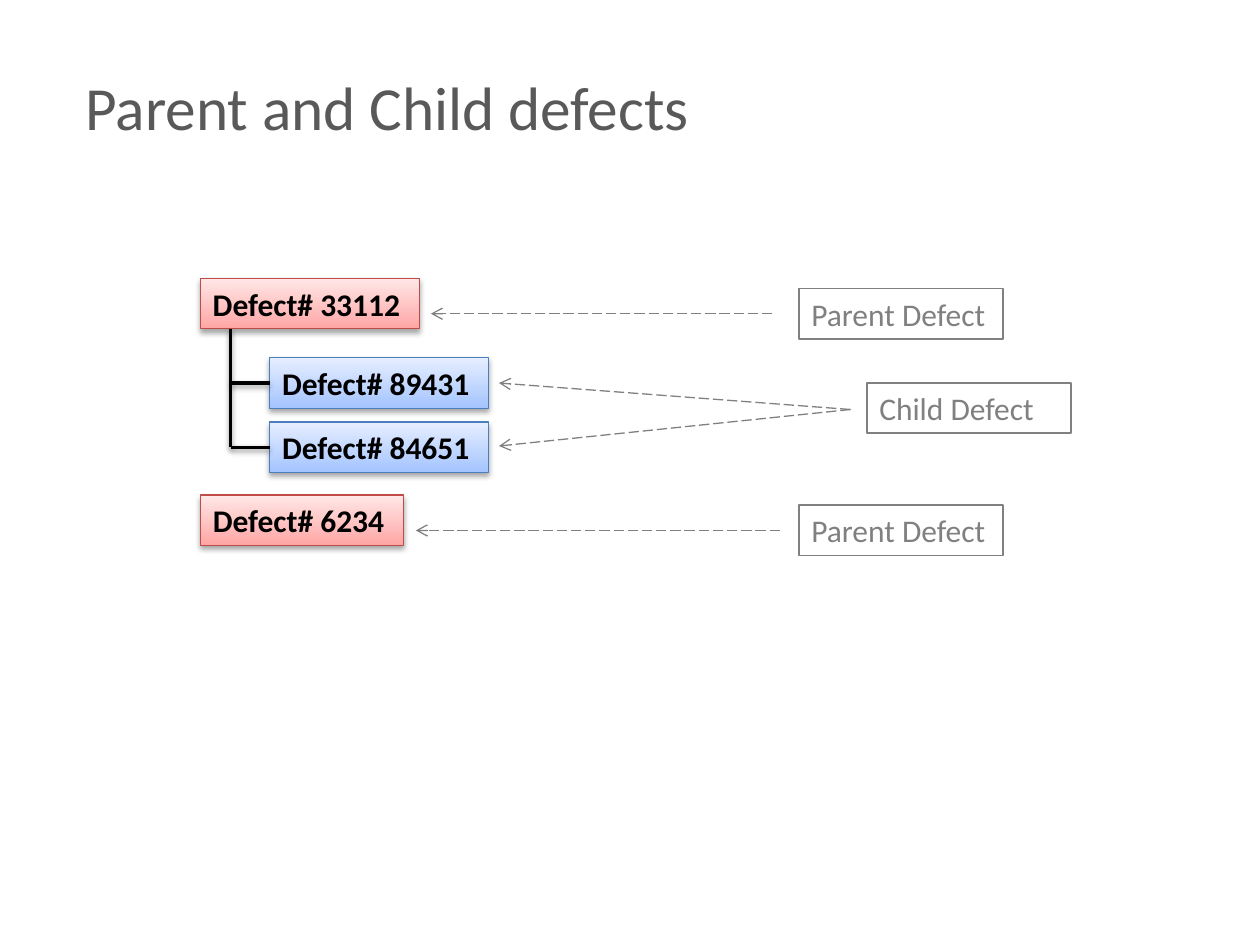
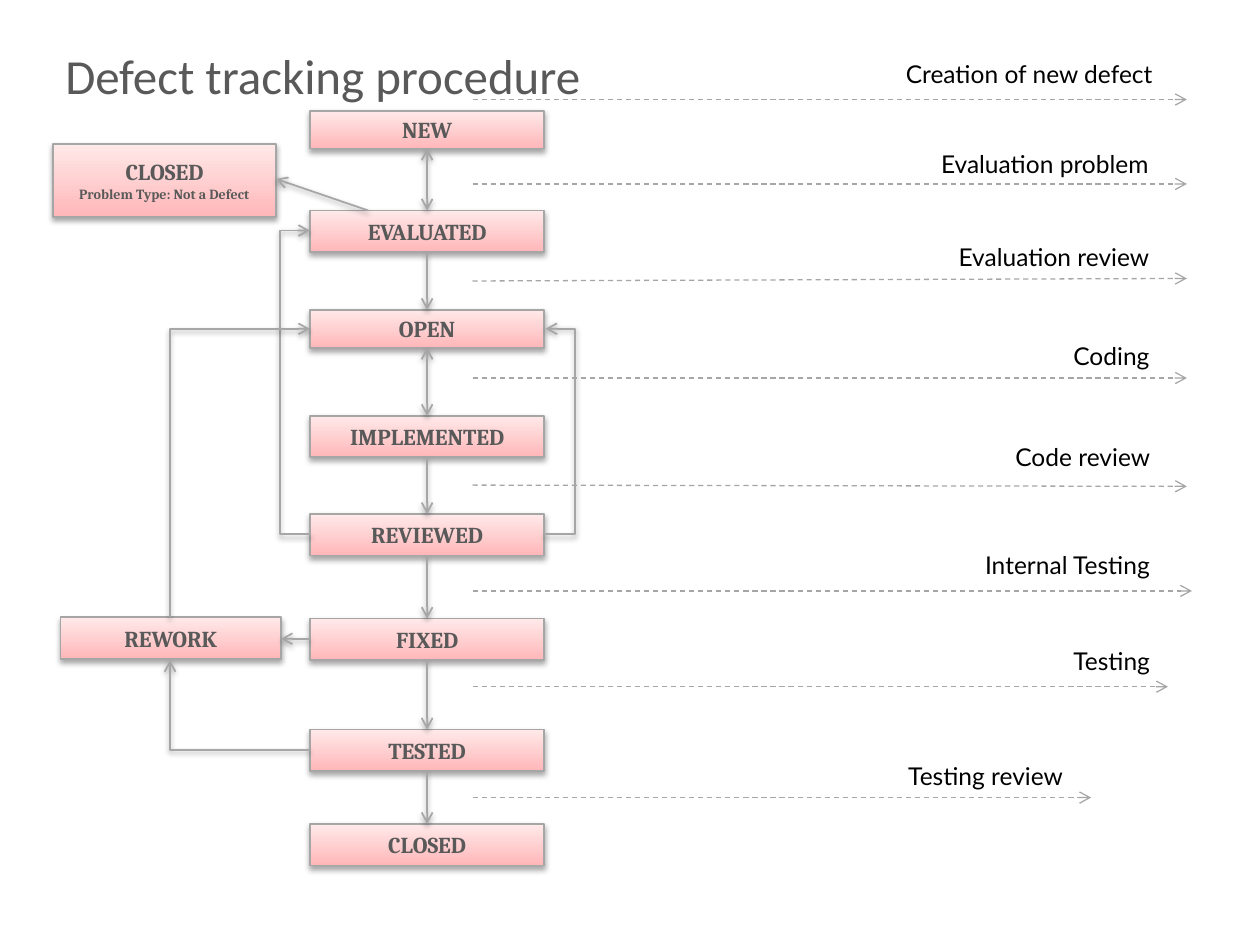
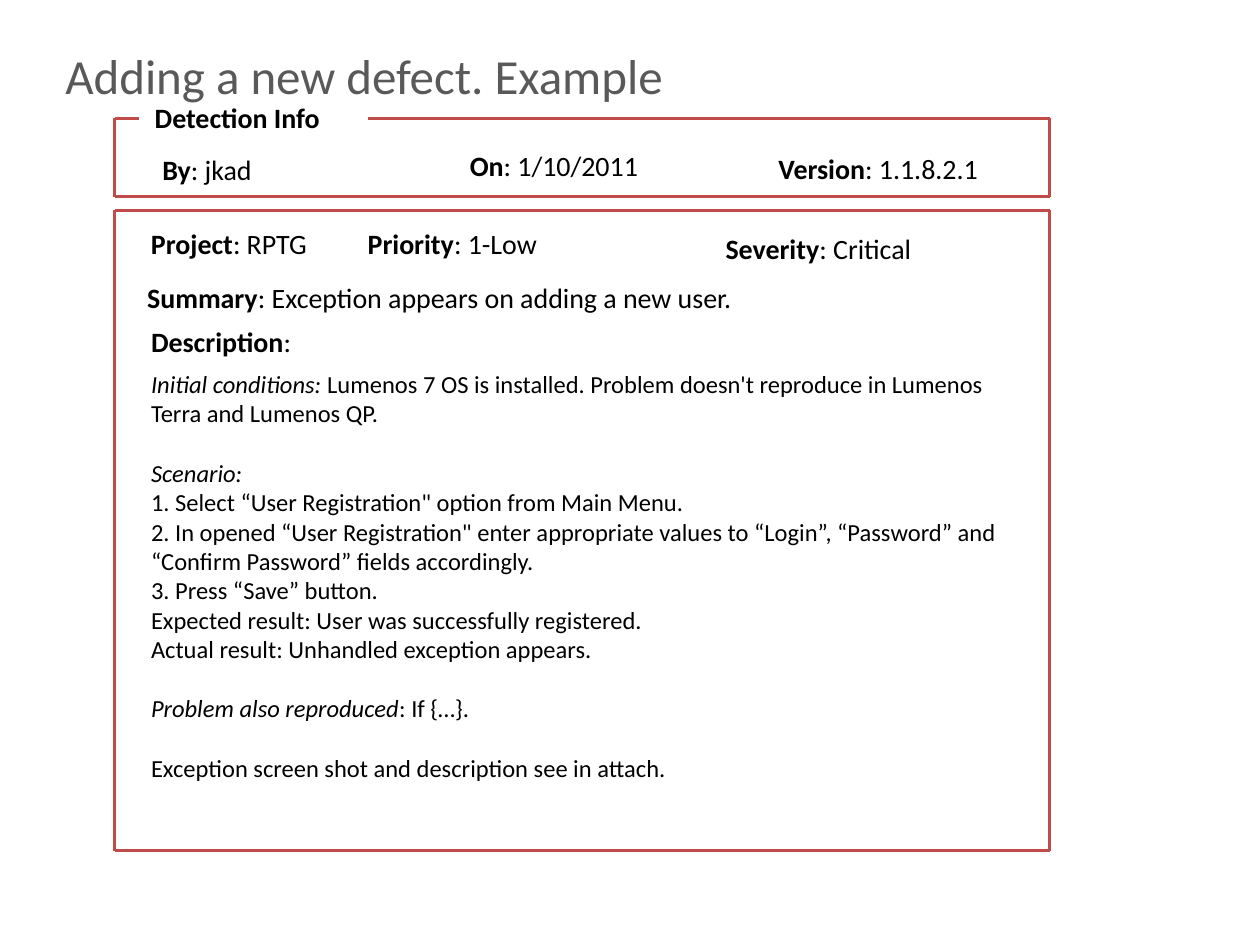
"""Build three slides on defect tracking: hierarchy, workflow and an example record."""
import dataclasses

import lxml.etree
import pptx
import pptx.dml.color
import pptx.enum.dml
import pptx.enum.shapes
import pptx.enum.text
import pptx.oxml.ns
import pptx.util

Inches, Pt = pptx.util.Inches, pptx.util.Pt
Rgb = pptx.dml.color.RGBColor.from_string
Dash = pptx.enum.dml.MSO_LINE
Align = pptx.enum.text.PP_ALIGN
Anchor = pptx.enum.text.MSO_ANCHOR
Link = pptx.enum.shapes.MSO_CONNECTOR
qn = pptx.oxml.ns.qn


@dataclasses.dataclass(frozen=True)
class Theme:
    ink: str = "000000"
    title: str = "595959"
    note: str = "808080"
    rule: str = "A6A6A6"
    red: str = "BF4C48"
    blue: str = "4B7EBC"
    rose: tuple = ("FFA6A5", "FFE7E7")
    sky: tuple = ("A4C4FF", "E6EEFF")
    pink: tuple = ("FFB7B9", "FFE9E9")
    white: tuple = ("FFFFFF",)
    font: str = "Calibri"
    serif: str = "Cambria"
    sans: str = "Lato"
    huge: float = 35
    large: float = 28
    box: float = 18
    field: float = 16
    body: float = 14
    step: float = 13
    small: float = 8


theme = Theme()


def put(slide, at, lines, size, color, font=theme.font, fill=None, edge=None, width=0.75, wrap=False):
    """Place text; each line is (style of lead, lead, rest), and a fill makes it a box."""
    spot = [Inches(v) for v in at]
    if fill:
        item = slide.shapes.add_shape(pptx.enum.shapes.MSO_SHAPE.RECTANGLE, *spot)
        item.line.color.rgb = Rgb(edge)
        item.line.width = Pt(width)
        if len(fill) == 1:
            item.fill.solid()
            item.fill.fore_color.rgb = Rgb(fill[0])
            item.shadow.inherit = False
        else:
            item.fill.gradient()
            item.fill.gradient_angle = 90
            for stop, tone in zip(item.fill.gradient_stops, fill):
                stop.color.rgb = Rgb(tone)
    else:
        item = slide.shapes.add_textbox(*spot)
    frame = item.text_frame
    frame.word_wrap = wrap
    frame.vertical_anchor = Anchor.TOP
    for n, (style, lead, rest) in enumerate(lines):
        para = frame.add_paragraph() if n else frame.paragraphs[0]
        para.alignment = Align.LEFT
        for text, mark in ((lead, style), (rest, "")):
            if text:
                run = para.add_run()
                run.text = text
                run.font.name = font
                run.font.size = Pt(size)
                run.font.bold = mark == "b"
                run.font.italic = mark == "i"
                run.font.color.rgb = Rgb(color)
    return item


def link(slide, start, end, color, width, ends="", dash=None, shade=False, kind=Link.STRAIGHT):
    """Draw a line; ends names the arrowheads, h for start and t for end."""
    item = slide.shapes.add_connector(kind, *[Inches(v) for v in (*start, *end)])
    item.line.color.rgb = Rgb(color)
    item.line.width = Pt(width)
    if dash:
        item.line.dash_style = dash
    edge = item.line._get_or_add_ln()
    for key, tag in (("h", "a:headEnd"), ("t", "a:tailEnd")):
        if key in ends:
            lxml.etree.SubElement(edge, qn(tag), type="arrow")
    if not shade:
        lxml.etree.SubElement(item._element.spPr, qn("a:effectLst"))
    return item


deck = pptx.Presentation()
deck.slide_width, deck.slide_height = Inches(10), Inches(7.5)
tree, flow, form = [deck.slides.add_slide(deck.slide_layouts[6]) for _ in range(3)]

for slide, at, text, size in (
    (tree, (0.58, 0.5, 5.03, 0.69), "Parent and Child defects", theme.huge),
    (flow, (0.42, 0.31, 4.33, 0.57), "Defect tracking procedure", theme.large),
    (form, (0.42, 0.31, 4.99, 0.57), "Adding a new defect. Example", theme.large),
):
    put(slide, at, [("", "", text)], size, theme.title)

for left, top, wide, code, fill, edge in (
    (1.59, 2.21, 1.74, "33112", theme.rose, theme.red),
    (2.14, 2.84, 1.74, "89431", theme.sky, theme.blue),
    (1.59, 3.93, 1.61, "6234", theme.rose, theme.red),
    (2.14, 3.35, 1.74, "84651", theme.sky, theme.blue),
):
    put(tree, (left, top, wide, 0.4), [("b", "Defect# " + code, "")], theme.box, theme.ink,
        fill=fill, edge=edge)
for start, end in (((1.83, 2.61), (1.83, 3.55)), ((1.83, 3.04), (2.14, 3.04)), ((1.83, 3.55), (2.14, 3.55))):
    link(tree, start, end, theme.ink, 2, shade=True)
for start, end in (
    ((6.13, 2.49), (3.42, 2.49)),
    ((6.19, 4.21), (3.3, 4.21)),
    ((6.75, 3.25), (3.96, 3.04)),
    ((6.75, 3.25), (3.96, 3.54)),
):
    link(tree, start, end, theme.note, 0.75, "t", Dash.LONG_DASH)
for left, top, role in ((6.34, 2.29, "Parent"), (6.34, 4.01, "Parent"), (6.88, 3.04, "Child")):
    put(tree, (left, top, 1.62, 0.4), [("", "", role + " Defect")], theme.box, theme.note,
        fill=theme.white, edge=theme.note, width=1, wrap=True)

axis = 3.39
steps = (
    ("NEW", 0.88, 0.3, "ht"),
    ("EVALUATED", 1.67, 0.33, "t"),
    ("OPEN", 2.46, 0.3, "ht"),
    ("IMPLEMENTED", 3.3, 0.33, "t"),
    ("REVIEWED", 4.08, 0.33, "t"),
    ("FIXED", 4.91, 0.33, "t"),
    ("TESTED", 5.79, 0.33, "t"),
    ("CLOSED", 6.54, 0.33, ""),
)
boxes = [((2.46, top, 1.86, high), [name]) for name, top, high, _ in steps]
boxes += [
    ((0.42, 1.14, 1.77, 0.58), ["CLOSED", "Problem Type: Not a Defect"]),
    ((0.48, 4.9, 1.75, 0.33), ["REWORK"]),
]
for at, names in boxes:
    box = put(flow, at, [("b", name, "") for name in names], theme.step, theme.title, theme.serif,
              theme.pink, theme.rule, 1, True)
    box.text_frame.vertical_anchor = Anchor.MIDDLE
    for para in box.text_frame.paragraphs:
        para.alignment = Align.CENTER
    for para in box.text_frame.paragraphs[1:]:
        para.runs[0].font.size = Pt(theme.small)

for (_, top, high, ends), (_, below, _, _) in zip(steps, steps[1:]):
    link(flow, (axis, top + high), (axis, below), theme.rule, 1, ends, shade=True)
for start, end in (((2.92, 1.67), (2.19, 1.42)), ((2.46, 5.07), (2.23, 5.07))):
    link(flow, start, end, theme.rule, 1, "t", shade=True)
for start, end, ends, bend in (
    ((4.32, 4.24), (4.33, 2.61), "t", 3),
    ((2.47, 4.24), (2.46, 1.83), "t", 3),
    ((2.46, 2.61), (1.35, 4.9), "h", 2),
    ((2.46, 5.95), (1.35, 5.24), "t", 2),
):
    bent = link(flow, start, end, theme.rule, 1, ends, shade=True, kind=Link.ELBOW)
    shape = bent._element.spPr.find(qn("a:prstGeom"))
    shape.set("prst", f"bentConnector{bend}")
    if bend == 3:
        lxml.etree.SubElement(shape.find(qn("a:avLst")), qn("a:gd"), name="adj1", fmla="val 2500000")

for text, left, top, wide, begin, end, tip in (
    ("Creation of new defect", 7.09, 0.42, 2.31, 0.79, 0.79, 9.42),
    ("Evaluation problem", 7.37, 1.13, 2.01, 1.46, 1.46, 9.42),
    ("Evaluation review", 7.51, 1.87, 1.88, 2.23, 2.21, 9.42),
    ("Coding", 8.42, 2.66, 0.85, 3, 3, 9.42),
    ("Code review", 7.96, 3.46, 1.38, 3.85, 3.86, 9.42),
    ("Internal Testing", 7.72, 4.32, 1.63, 4.69, 4.69, 9.46),
    ("Testing", 8.42, 5.08, 0.85, 5.45, 5.45, 9.27),
    ("Testing review", 7.11, 5.99, 1.55, 6.33, 6.33, 8.66),
):
    link(flow, (3.75, begin), (tip, end), theme.rule, 0.75, "t", Dash.DASH)
    put(flow, (left, top, wide, 0.34), [("", "", text)], theme.body, theme.ink, theme.sans)

left, right = 0.91, 8.33
for points in (
    ((1.1, 0.94), (left, 0.94), (left, 1.56), (right, 1.56), (right, 0.94), (2.92, 0.94)),
    ((left, 1.67), (left, 6.75), (right, 6.75), (right, 1.67), (left, 1.67)),
):
    for start, end in zip(points, points[1:]):
        link(form, start, end, theme.red, 1.5)
for x, y, wide, label, value in (
    (1.13, 0.75, 1.53, "Detection Info", ""),
    (1.19, 1.16, 0.91, "By", ": jkad"),
    (3.63, 1.13, 1.55, "On", ": 1/10/2011"),
    (6.08, 1.15, 1.8, "Version", ": 1.1.8.2.1"),
    (1.1, 1.75, 1.46, "Project", ": RPTG"),
    (2.82, 1.75, 1.56, "Priority", ": 1-Low"),
    (5.66, 1.79, 1.69, "Severity", ": Critical"),
    (1.07, 2.18, 4.9, "Summary", ": Exception appears on adding a new user."),
):
    put(form, (x, y, wide, 0.37), [("b", label, value)], theme.field, theme.ink)

story = put(form, (1.1, 2.53, 6.91, 3.75), [
    ("b", "Description", ":"),
    ("i", "Initial conditions: ",
     "Lumenos 7 OS is installed. Problem doesn't reproduce in Lumenos Terra and Lumenos QP."),
    ("i", "Scenario:", ""),
    ("", "", "1. Select “User Registration\" option from Main Menu."),
    ("", "", "2. In opened “User Registration\" enter appropriate values to “Login”, “Password” and "
             "“Confirm Password” fields accordingly."),
    ("", "", "3. Press “Save” button."),
    ("", "", "Expected result: User was successfully registered."),
    ("", "", "Actual result: Unhandled exception appears."),
    ("i", "Problem also reproduced", ": If {…}."),
    ("", "", "Exception screen shot and description see in attach."),
], theme.body, theme.ink, wrap=True)
paras = story.text_frame.paragraphs
for run in paras[0].runs:
    run.font.size = Pt(theme.field)
for n, gap in ((1, 6), (2, 17), (8, 17), (9, 17)):
    paras[n].space_before = Pt(gap)

deck.save("out.pptx")
